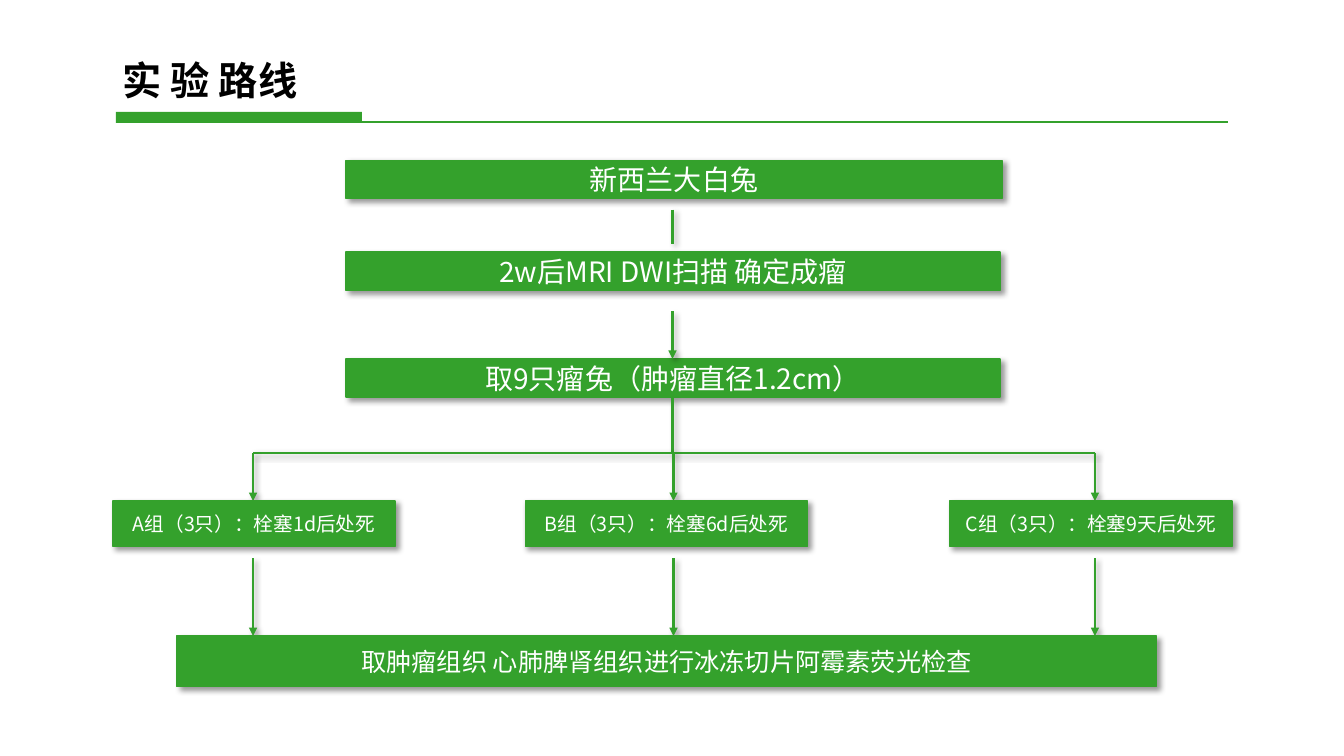
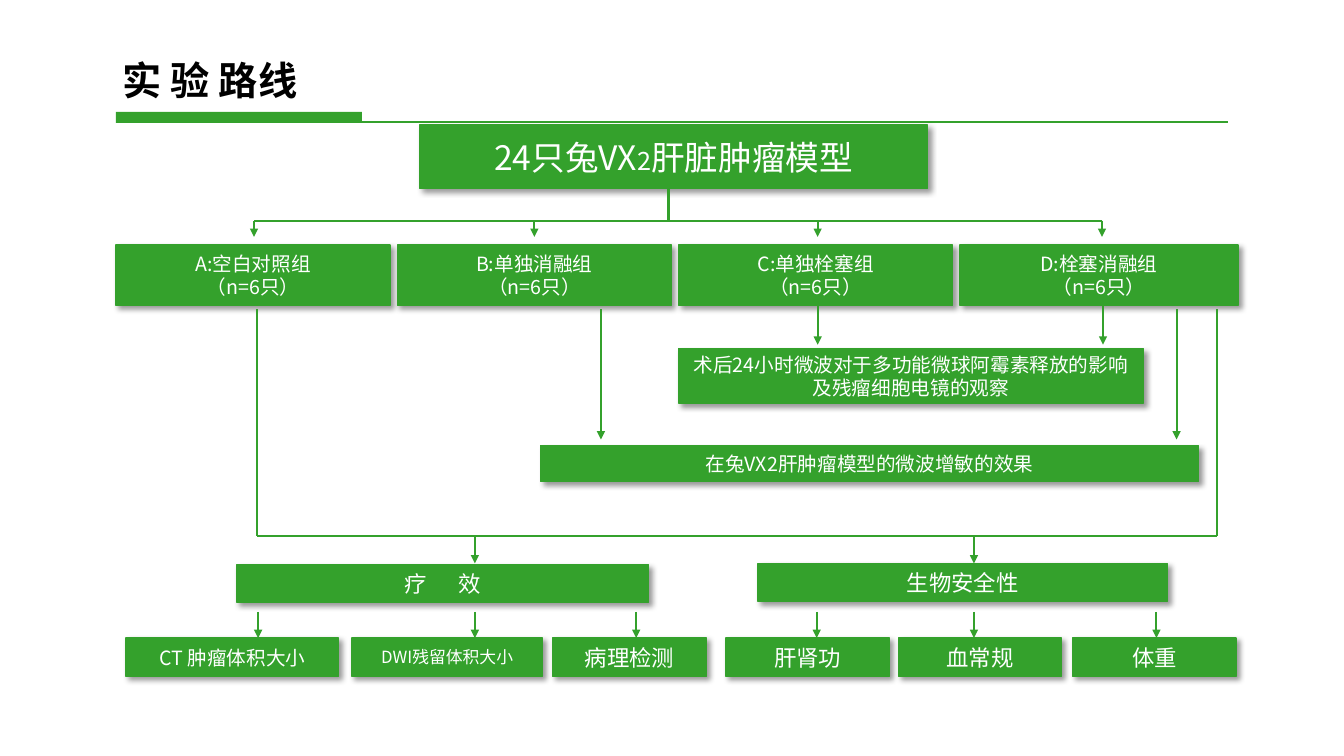
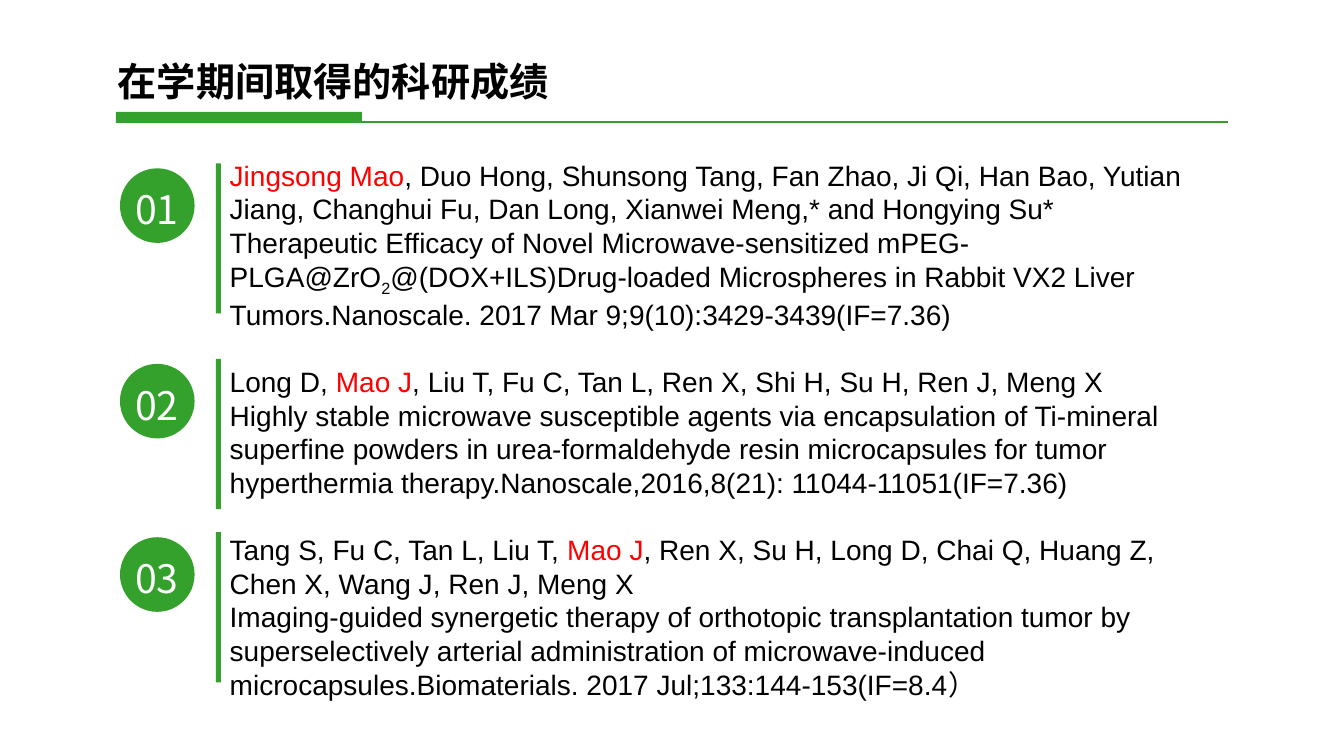
"""Build three slides: two experiment flow charts and a publication list."""
from lxml import etree
from pptx import Presentation
from pptx.dml.color import RGBColor
from pptx.enum.shapes import MSO_CONNECTOR, MSO_SHAPE
from pptx.enum.text import MSO_ANCHOR, PP_ALIGN
from pptx.oxml.ns import qn
from pptx.util import Inches, Pt

RECT, OVAL = MSO_SHAPE.RECTANGLE, MSO_SHAPE.OVAL
STRAIGHT = MSO_CONNECTOR.STRAIGHT
MIDDLE, TOP = MSO_ANCHOR.MIDDLE, MSO_ANCHOR.TOP
CENTER, LEFT = PP_ALIGN.CENTER, PP_ALIGN.LEFT
COLORS = {"green": "34A12C", "white": "FFFFFF", "black": "000000", "red": "FF0000"}
CJK, LATIN = "Noto Sans CJK SC", "Arial"
FLOW_TITLE = "实 验 路线"

STEPS = [
    (1.59, 6.51, "新西兰大白兔"),
    (2.50, 6.49, "2w后MRI DWI扫描 确定成瘤"),
    (3.56, 6.49, "取9只瘤兔（肿瘤直径1.2cm）"),
]
ARMS = [
    (1.12, 2.51, "A组（3只）：栓塞1d后处死"),
    (5.21, 6.68, "B组（3只）：栓塞6d后处死"),
    (9.42, 10.86, "C组（3只）：栓塞9天后处死"),
]
LAST_STEP = "取肿瘤组织 心肺脾肾组织进行冰冻切片阿霉素荧光检查"

MODEL = [("24只兔VX", {}), ("2", {"size": 18}), ("肝脏肿瘤模型", {})]
GROUPS = [
    ("A:空白对照组", 2.72, 2.52),
    ("B:单独消融组", 2.72, 5.30),
    ("C:单独栓塞组", 2.72, 8.11),
    ("D:栓塞消融组", 2.76, 10.93),
]
STUDIES = [
    (6.73, 3.46, 4.61, 0.54, "术后24小时微波对于多功能微球阿霉素释放的影响及残瘤细胞电镜的观察"),
    (5.36, 4.42, 6.53, 0.36, "在兔VX2肝肿瘤模型的微波增敏的效果"),
]
STUDY_ARROWS = [(8.11, 3.03, 3.42), (10.94, 3.03, 3.42),
                (5.96, 3.07, 4.36), (11.67, 3.07, 4.36)]
OUTCOMES = [
    (2.35, 5.60, 4.08, 4.71, [("疗", {"spacing": 22}), ("效", {})]),
    (7.52, 5.59, 4.06, 9.66, [("生物安全性", {})]),
]
MEASURES = [
    (1.25, 2.11, 2.56, 14, "CT 肿瘤体积大小"),
    (3.49, 1.89, 4.71, 12, "DWI残留体积大小"),
    (5.48, 1.53, 6.31, 16, "病理检测"),
    (7.20, 1.62, 8.10, 16, "肝肾功"),
    (8.91, 1.62, 9.66, 16, "血常规"),
    (10.64, 1.62, 11.47, 16, "体重"),
]

RED, SUB = {"color": "red"}, {"baseline": -25}
PAPERS = [
    (1.62, [
        ("Jingsong Mao", RED),
        (", Duo Hong, Shunsong Tang, Fan Zhao, Ji Qi, Han Bao, Yutian Jiang, "
         "Changhui Fu, Dan Long, Xianwei Meng,* and Hongying Su*\n"
         "Therapeutic Efficacy of Novel Microwave-sensitized mPEG-PLGA@ZrO", {}),
        ("2", SUB),
        ("@(DOX+ILS)Drug-loaded Microspheres in Rabbit VX2 Liver "
         "Tumors.Nanoscale. 2017 Mar 9;9(10):3429-3439(IF=7.36)", {}),
    ]),
    (3.56, [
        ("Long D, ", {}),
        ("Mao J", RED),
        (", Liu T, Fu C, Tan L, Ren X, Shi H, Su H, Ren J, Meng X\n"
         "Highly stable microwave susceptible agents via encapsulation of Ti-mineral "
         "superfine powders in urea-formaldehyde resin microcapsules for tumor "
         "hyperthermia therapy.Nanoscale,2016,8(21): 11044-11051(IF=7.36)", {}),
    ]),
    (5.28, [
        ("Tang S, Fu C, Tan L, Liu T, ", {}),
        ("Mao J", RED),
        (", Ren X, Su H, Long D, Chai Q, Huang Z, Chen X, Wang J, Ren J, Meng X\n"
         "Imaging-guided synergetic therapy of orthotopic transplantation tumor by "
         "superselectively arterial administration of microwave-induced "
         "microcapsules.Biomaterials. 2017 Jul;133:144-153(IF=8.4）", {}),
    ]),
]


def rgb(name):
    return RGBColor.from_string(COLORS[name])


def add_run(p, text, size, color="white", font=CJK, bold=False, baseline=0, spacing=0):
    for i, line in enumerate(text.split("\n")):
        if i:
            p.add_line_break()
        r = p.add_run()
        r.text = line
        for key, value in {"size": Pt(size), "bold": bold, "name": font}.items():
            setattr(r.font, key, value)
        r.font.color.rgb = rgb(color)
        rPr = r.font._element
        etree.SubElement(rPr, qn("a:ea")).set("typeface", CJK)
        if baseline:
            rPr.set("baseline", str(baseline * 1000))
        if spacing:
            rPr.set("spc", str(spacing * 100))


def write(tf, paras, align=CENTER, anchor=MIDDLE, inset=None, gap=0, line=1.0, **style):
    """Fill a text frame; each paragraph is a list of (text, style) runs."""
    tf.word_wrap = True
    tf.vertical_anchor = anchor
    if inset is not None:
        for side in ("left", "right", "top", "bottom"):
            setattr(tf, f"margin_{side}", Inches(inset))
    for i, runs in enumerate(paras):
        p = tf.paragraphs[0] if i == 0 else tf.add_paragraph()
        p.alignment = align
        p.line_spacing = line
        p.space_before = Pt(gap if i else 0)
        for text, extra in runs:
            add_run(p, text, **{**style, **extra})


def add_text(s, at, paras, **style):
    write(s.shapes.add_textbox(*map(Inches, at)).text_frame, paras, **style)


def add_shadow(shape):
    effects = shape._element.spPr.find(qn("a:effectLst"))
    if effects is None:
        effects = etree.SubElement(shape._element.spPr, qn("a:effectLst"))
    shadow = etree.SubElement(effects, qn("a:outerShdw"), blurRad=str(Pt(4)),
                              dist=str(Pt(3)), dir="2700000", algn="tl", rotWithShape="0")
    color = etree.SubElement(shadow, qn("a:srgbClr"), val=COLORS["black"])
    etree.SubElement(color, qn("a:alpha"), val="40000")


def add_solid(s, kind, *at):
    shape = s.shapes.add_shape(kind, *map(Inches, at))
    shape.shadow.inherit = False
    shape.fill.solid()
    shape.fill.fore_color.rgb = rgb("green")
    shape.line.fill.background()
    return shape


def add_box(s, at, size, *paras):
    shape = add_solid(s, RECT, *at)
    shape.line.color.rgb = rgb("green")
    shape.line.width = Pt(1)
    add_shadow(shape)
    write(shape.text_frame, [[(p, {})] if isinstance(p, str) else p for p in paras], size=size)


def add_line(s, x1, y1, x2, y2, arrow=False, shadow=False, width=1.5):
    c = s.shapes.add_connector(STRAIGHT, *map(Inches, (x1, y1, x2, y2)))
    c.line.color.rgb = rgb("green")
    c.line.width = Pt(width)
    if arrow:
        etree.SubElement(c.line._get_or_add_ln(), qn("a:tailEnd"), type="triangle")
    etree.SubElement(c._element.spPr, qn("a:effectLst"))
    if shadow:
        add_shadow(c)


def add_slide(prs, title, at=(1.12, 0.51, 2.63, 0.57), line=1.0):
    s = prs.slides.add_slide(prs.slide_layouts[6])
    add_solid(s, RECT, 1.15, 1.11, 2.44, 0.11)
    add_line(s, 3.32, 1.21, 12.18, 1.21, width=2)
    add_text(s, at, [[(title, {})]], align=LEFT, anchor=TOP, line=line,
             size=28, color="black", bold=True)
    return s


def build_route(prs):
    s = add_slide(prs, FLOW_TITLE)
    mid, bus, arm_top, end_top = 6.67, 4.49, 4.97, 6.31
    for y, w, text in STEPS:
        add_box(s, (3.43, y, w, 0.38), 20, text)
    add_line(s, mid, 2.08, mid, 2.42, shadow=True)
    add_line(s, mid, 3.09, mid, 3.56, arrow=True, shadow=True)
    add_line(s, mid, 3.95, mid, bus, shadow=True)
    add_line(s, ARMS[0][1], bus, ARMS[-1][1], bus, shadow=True)
    for x, center, text in ARMS:
        add_line(s, center, bus, center, arm_top, arrow=True, shadow=True)
        add_box(s, (x, arm_top, 2.8, 0.45), 14, text)
        add_line(s, center, 5.54, center, end_top, arrow=True, shadow=True)
    add_box(s, (1.75, end_top, 9.72, 0.5), 18, LAST_STEP)


def build_groups(prs):
    s = add_slide(prs, FLOW_TITLE)
    top_bus, low_bus, measure_top = 2.19, 5.32, 6.33
    add_box(s, (4.16, 1.24, 5.04, 0.63), 24, MODEL)
    add_line(s, 6.63, 1.87, 6.63, top_bus)
    add_line(s, GROUPS[0][2], top_bus, GROUPS[-1][2], top_bus)
    for i, (text, w, center) in enumerate(GROUPS):
        add_box(s, (1.15 + 2.79 * i, 2.43, w, 0.6), 14, text, "（n=6只）")
        add_line(s, center, top_bus, center, 2.35, arrow=True)
    for *at, text in STUDIES:
        add_box(s, at, 14, text)
    for x, y1, y2 in STUDY_ARROWS:
        add_line(s, x, y1, x, y2, arrow=True)
    left, right = 2.55, 12.07
    for x in (left, right):
        add_line(s, x, 3.07, x, low_bus)
    add_line(s, left, low_bus, right, low_bus)
    for x, y, w, center, runs in OUTCOMES:
        add_box(s, (x, y, w, 0.38), 16, runs)
        add_line(s, center, low_bus, center, 5.59, arrow=True)
    for x, w, center, size, text in MEASURES:
        add_box(s, (x, measure_top, w, 0.38), size, text)
        add_line(s, center, 6.07, center, measure_top, arrow=True)


def build_papers(prs):
    s = add_slide(prs, "在学期间取得的科研成绩", (1.07, 0.57, 6.05, 0.94), 0.9)
    add_text(s, (2.18, 1.52, 9.99, 5.99), [runs for _, runs in PAPERS], align=LEFT,
             anchor=TOP, gap=24, size=20, color="black", font=LATIN)
    for i, (y, _) in enumerate(PAPERS, 1):
        add_solid(s, RECT, 2.14, y, 0.05, 1.49)
        add_solid(s, OVAL, 1.19, y + 0.05, 0.74, 0.74)
        add_text(s, (1.31, y + 0.22, 0.49, 0.47), [[(f"{i:02}", {})]],
                 anchor=TOP, inset=0, size=28)


def main():
    prs = Presentation()
    prs.slide_width, prs.slide_height = Inches(13.33), Inches(7.5)
    for build in (build_route, build_groups, build_papers):
        build(prs)
    prs.save("out.pptx")


if __name__ == "__main__":
    main()
